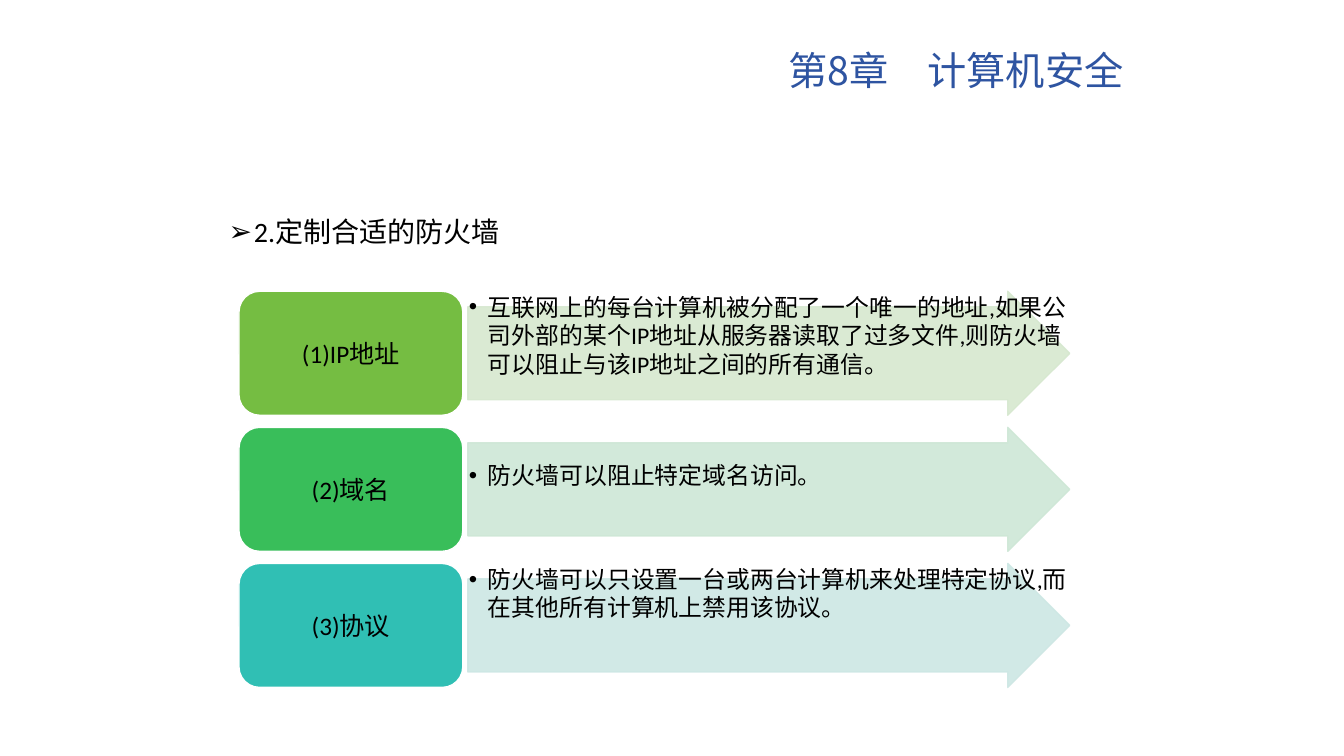
"""Build the slide on choosing a suitable firewall."""
from lxml.etree import SubElement
from pptx import Presentation
from pptx.dml.color import RGBColor
from pptx.enum.shapes import MSO_SHAPE as Shape
from pptx.enum.text import MSO_ANCHOR as Anchor, PP_ALIGN as Align
from pptx.oxml.ns import qn
from pptx.util import Inches, Pt


def color(value):
    return RGBColor.from_string(value)


def write(box, text, size, ink="000000", typeface="Calibri", align=Align.LEFT,
          anchor=Anchor.TOP, insets=(0.1, 0.05), bullet=None, indent=0):
    frame = box.text_frame
    frame.word_wrap = True
    frame.vertical_anchor = anchor
    frame.margin_left = frame.margin_right = Inches(insets[0])
    frame.margin_top = frame.margin_bottom = Inches(insets[1])
    para = frame.paragraphs[0]
    para.text = text
    para.alignment = align
    if bullet:
        properties = para._p.get_or_add_pPr()
        properties.set("marL", str(Inches(indent)))
        properties.set("indent", str(Inches(-indent)))
        SubElement(properties, qn("a:buFont"), typeface="Arial")
        SubElement(properties, qn("a:buChar"), char=bullet)
    font = para.font
    font.size = Pt(size)
    font.name = typeface
    font.color.rgb = color(ink)
    SubElement(para._p.pPr.find(qn("a:defRPr")), qn("a:ea"), typeface=typeface)
    return para


deck = Presentation()
deck.slide_width, deck.slide_height = Inches(13.33), Inches(7.5)
page = deck.slides.add_slide(deck.slide_layouts[6])

title = page.shapes.add_textbox(Inches(2.17), Inches(0.3), Inches(9.07), Inches(0.78))
write(title, "第8章　计算机安全", 28, "2E54A1", "Noto Sans CJK JP",
      Align.RIGHT, Anchor.MIDDLE)

heading = page.shapes.add_textbox(Inches(2.17), Inches(1.75), Inches(8.64), Inches(0.8))
write(heading, "2.定制合适的防火墙", 20, bullet="➢", indent=0.25).line_spacing = 2.0

rules = [
    ("(1)IP地址", "75BD42", "D6E8CF", 0,
     "互联网上的每台计算机被分配了一个唯一的地址,如果公司外部的某个IP地址从服务器读取了过多文件,则防火墙可以阻止与该IP地址之间的所有通信。"),
    ("(2)域名", "39BE5A", "CEE7D6", 0.32, "防火墙可以阻止特定域名访问。"),
    ("(3)协议", "30BFB4", "CDE7E4", 0,
     "防火墙可以只设置一台或两台计算机来处理特定协议,而在其他所有计算机上禁用该协议。"),
]
row_height = 1.23
for row, (label, strong, pale, drop, detail) in enumerate(rules):
    top = 2.89 + 1.35 * row
    arrow = page.shapes.add_shape(Shape.RIGHT_ARROW, Inches(4.64), Inches(top),
                                  Inches(5.97), Inches(row_height))
    arrow.adjustments[0] = 0.75
    arrow.adjustments[1] = 0.5
    label_box = page.shapes.add_shape(Shape.ROUNDED_RECTANGLE, Inches(2.37), Inches(top),
                                      Inches(2.22), Inches(row_height))
    for shape, fill, line in ((arrow, pale, pale), (label_box, strong, "FFFFFF")):
        shape.shadow.inherit = False
        shape.fill.solid()
        shape.fill.fore_color.rgb = color(fill)
        shape.line.color.rgb = color(line)
        shape.line.width = Pt(1)
    for paint in arrow._element.spPr.iter(qn("a:srgbClr")):
        SubElement(paint, qn("a:alpha"), val="90000")
    write(label_box, label, 18, align=Align.CENTER, anchor=Anchor.MIDDLE,
          insets=(0.07, 0.04))
    detail_box = page.shapes.add_textbox(Inches(4.64), Inches(top + drop),
                                         Inches(5.97), Inches(row_height - drop))
    write(detail_box, detail, 17, insets=(0.01, 0.01), bullet="•", indent=0.19)

deck.save("out.pptx")
